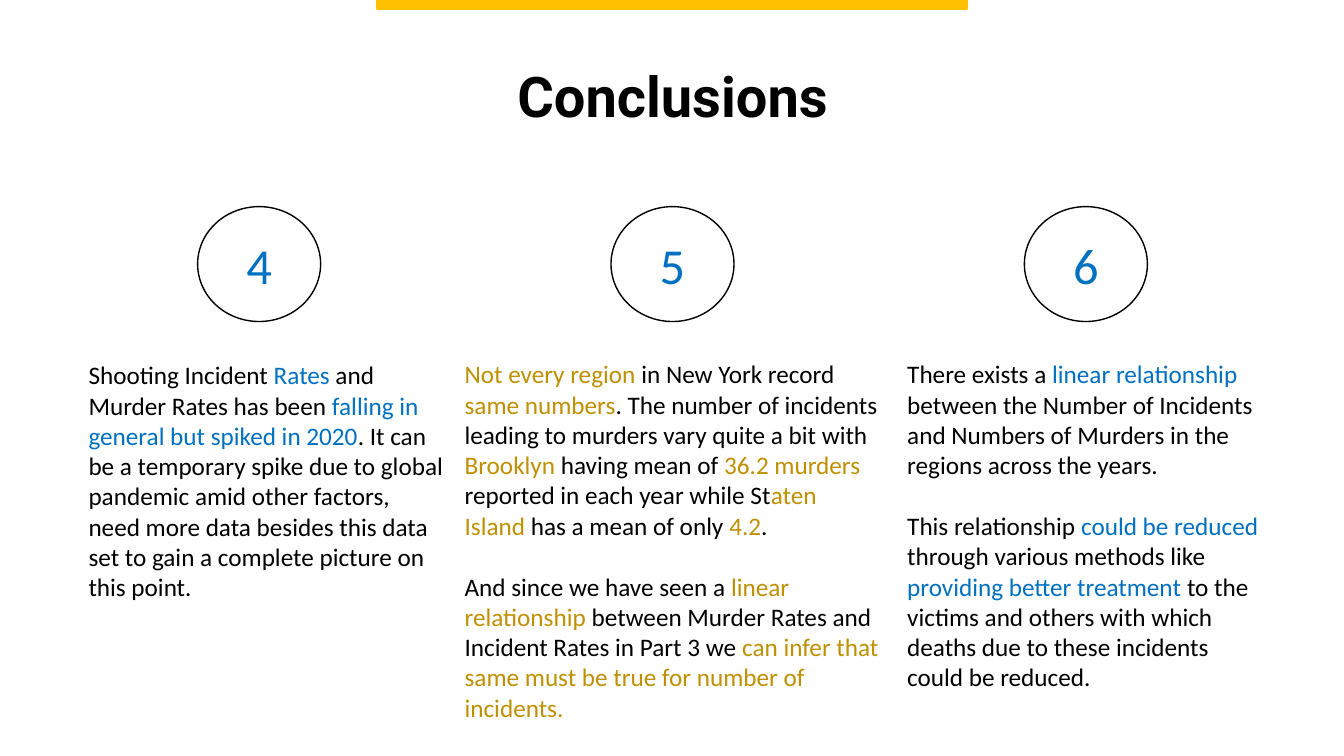
from pptx import Presentation
from pptx.dml.color import RGBColor
from pptx.enum.shapes import MSO_SHAPE
from pptx.enum.text import MSO_ANCHOR, MSO_AUTO_SIZE, PP_ALIGN
from pptx.util import Inches, Pt

RECT, OVAL = MSO_SHAPE.RECTANGLE, MSO_SHAPE.OVAL
MIDDLE, CENTER = MSO_ANCHOR.MIDDLE, PP_ALIGN.CENTER
GROW = MSO_AUTO_SIZE.SHAPE_TO_FIT_TEXT
BLACK, WHITE, BLUE, GOLD, AMBER = "000000", "FFFFFF", "0070C0", "BF9000", "FFC000"


def color(code):
    return RGBColor.from_string(code)


class Deck:
    """Holds the style and the current slide."""

    body, head = "Calibri", "Roboto"

    def __init__(self):
        self.prs = Presentation()
        self.prs.slide_width = Inches(13.33)
        self.prs.slide_height = Inches(7.5)
        self.slide = self.prs.slides.add_slide(self.prs.slide_layouts[5])

    def style(self, run, size, code, face=body, bold=False):
        font = run.font
        font.name, font.size, font.bold = face, Pt(size), bold
        font.color.rgb = color(code)

    def line(self, frame, text, size, code, face=body, bold=False):
        """One centred line of text."""
        frame.text = text
        frame.vertical_anchor = MIDDLE
        para = frame.paragraphs[0]
        para.alignment = CENTER
        self.style(para.runs[0], size, code, face, bold)
        return para

    def title(self, text, *box):
        shape = self.slide.shapes.title
        shape.left, shape.top, shape.width, shape.height = map(Inches, box)
        para = self.line(shape.text_frame, text, 40, BLACK, self.head, True)
        para.line_spacing = 0.9

    def shape(self, kind, fill, edge, *box):
        shape = self.slide.shapes.add_shape(kind, *map(Inches, box))
        shape.shadow.inherit = False
        shape.fill.solid()
        shape.fill.fore_color.rgb = color(fill)
        shape.line.color.rgb = color(edge)
        shape.line.width = Pt(1)
        return shape

    def badge(self, text, *box):
        shape = self.shape(OVAL, WHITE, BLACK, *box)
        self.line(shape.text_frame, text, 36, BLUE)

    def note(self, texts, accent, *box):
        """Text box; words between bars take the accent colour."""
        frame = self.slide.shapes.add_textbox(*map(Inches, box)).text_frame
        frame.word_wrap = True
        frame.auto_size = GROW
        for i, text in enumerate(texts):
            para = frame.add_paragraph() if i else frame.paragraphs[0]
            para.space_before = Pt(22 if i else 0)
            for j, part in enumerate(text.split("|")):
                if part:
                    run = para.add_run()
                    run.text = part
                    self.style(run, 18, accent if j % 2 else BLACK)


# Each column: accent, text box, paragraphs
COLUMNS = [
    (BLUE, (0.78, 3.52, 3.73, 2.52), [
        "Shooting Incident |Rates| and Murder Rates has been "
        "|falling in general but spiked in 2020|. It can be a temporary spike "
        "due to global pandemic amid other factors, need more data besides "
        "this data set to gain a complete picture on this point."]),
    (GOLD, (4.51, 3.51, 4.31, 3.74), [
        "|Not every region |in New York record |same numbers|. The number of "
        "incidents leading to murders vary quite a bit with |Brooklyn| having "
        "mean of |36.2 murders |reported in each year while St|aten Island| "
        "has a mean of only |4.2|.",
        "And since we have seen a |linear relationship| between Murder Rates "
        "and Incident Rates in Part 3 we |can infer that same must be true "
        "for number of incidents."]),
    (BLUE, (8.9, 3.51, 3.73, 3.43), [
        "There exists a |linear relationship |between the Number of Incidents "
        "and Numbers of Murders in the regions across the years.",
        "This relationship |could be reduced |through various methods like "
        "|providing better treatment |to the victims and others with which "
        "deaths due to these incidents could be reduced."]),
]


def main():
    deck = Deck()

    # Title and top bar
    deck.title("Conclusions", 0.92, 0.26, 11.5, 1.45)
    deck.shape(RECT, AMBER, AMBER, 3.74, 0, 5.85, 0.09)

    # Numbered columns
    for i, (accent, box, texts) in enumerate(COLUMNS):
        deck.badge(str(i + 4), 1.96 + 4.1 * i, 2.05, 1.22, 1.14)
        deck.note(texts, accent, *box)

    deck.prs.save("out.pptx")


if __name__ == "__main__":
    main()
